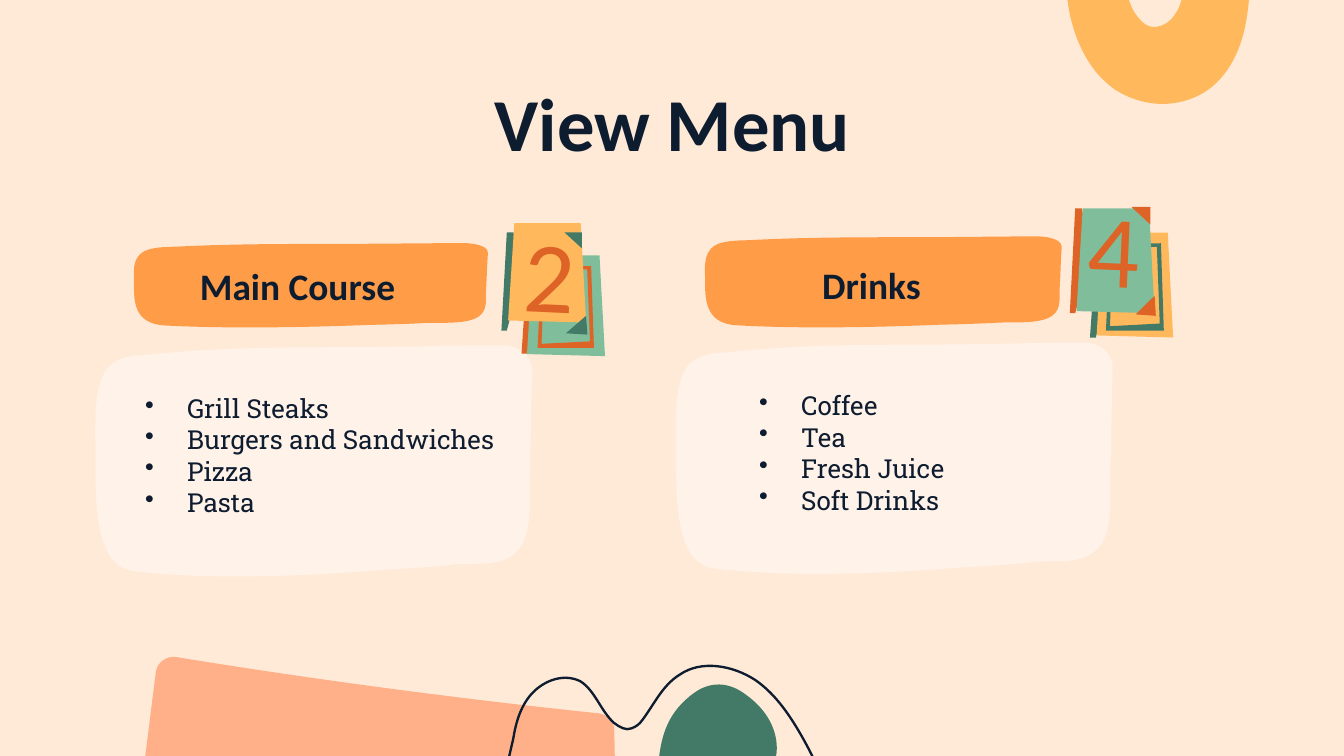
from lxml import etree
from pptx import Presentation
from pptx.dml.color import RGBColor
from pptx.enum.text import MSO_ANCHOR, PP_ALIGN
from pptx.oxml.ns import qn
from pptx.util import Pt

LEFT, CENTER, JUSTIFY = PP_ALIGN.LEFT, PP_ALIGN.CENTER, PP_ALIGN.JUSTIFY
TOP, MIDDLE = MSO_ANCHOR.TOP, MSO_ANCHOR.MIDDLE
HEADING_FONT, BODY_FONT = "Calibri", "Roboto Slab"
COLORS = {
    "background": "FFEAD8", "ink": "0E1C30", "yellow": "FFB95C", "peach": "FFB088",
    "green": "437A67", "mint": "80BE9B", "rust": "DD6326", "orange": "FF9C47",
    "cream": "FFF2E8",
}
INCH = 72

# Contours are a start point, then lines (2 numbers) or Bézier curves (6 numbers),
# in percent of the box they are drawn in.
BLOB = [
    (86.9, 0), (70.3, 0.6), (51.4, 1.2, 32.1, 0, 13.1, 4),
    (9.8, 4.6, 5.8, 4, 3.1, 10.4), (0, 19, 0.6, 35.3, 0.6, 46.2),
    (0.6, 66.5, 0.3, 94.8, 9.2, 97.1), (16.8, 98.8, 24.8, 99.4, 32.7, 99.4),
    (44, 99.4, 55.4, 98.3, 66.4, 96.5), (71.9, 96, 77.1, 95.4, 82.6, 94.2),
    (86.5, 93.6, 92.4, 95.4, 96, 89.6), (100, 83.2, 99.4, 69.4, 99.4, 58.4),
    (99.7, 42.8, 99.7, 27.2, 100, 11.6), (100, 0.6, 93.9, 0, 93.9, 0),
]
ARCH = [
    (137, 56), (137, 38, 135, 17, 132, 2), (132, 0, 129, 0, 127, 1),
    (114, 2, 101, 3, 87, 4), (85, 4, 84, 6, 84, 8), (86, 21, 88, 35, 88, 55),
    (88, 65, 87, 76, 81, 84), (78, 89, 73, 92, 68, 93), (61, 94, 57, 90, 53, 85),
    (46, 76, 45, 65, 44, 53), (44, 29), (44, 23, 44, 16, 43, 10),
    (43, 8, 41, 7, 40, 7), (7, 6), (5, 6, 4, 8, 4, 10), (2, 24, 0, 39, 0, 53),
    (0, 64, 1, 74, 3, 84), (8, 106, 18, 127, 37, 140), (56, 152, 79, 154, 99, 144),
    (119, 134, 130, 112, 134, 90), (136, 79, 137, 67, 137, 56),
]
SLAB = [
    (21, 11), (1, 170), (0, 177, 5, 183, 12, 185), (86, 196, 160, 206, 234, 215),
    (236, 218, 239, 219, 243, 219), (274, 221, 306, 227, 337, 234),
    (344, 236, 351, 230, 352, 223), (360, 168, 364, 111, 362, 54),
    (362, 48, 357, 43, 351, 42), (246, 31, 140, 17, 36, 0), (29, -1, 22, 4, 21, 11),
]
PEBBLE = [
    (0, 61), (0, 62, 1, 63, 3, 63), (21, 64, 74, 64, 83, 65), (84, 65, 86, 64, 86, 63),
    (87, 58, 88, 54, 88, 50), (88, 34, 79, 20, 65, 10), (52, 0, 38, 0, 26, 9),
    (7, 23, 2, 40, 0, 60),
]
WAVE = [
    (0, 127), (23, 129, 47, 116, 57, 95), (63, 84, 65, 71, 68, 59),
    (70, 46, 74, 33, 83, 24), (92, 15, 106, 10, 118, 16), (129, 23, 133, 38, 143, 47),
    (147, 50, 152, 53, 156, 51), (159, 50, 162, 48, 164, 45),
    (173, 33, 179, 19, 192, 11), (208, 0, 231, 4, 248, 15), (264, 26, 275, 43, 285, 61),
    (298, 85, 309, 111, 317, 138),
]
SHEET = [(93, 0), (8, 0), (0, 98), (100, 100)]
CARD_PARTS = [
    [[(90, 0), (50, 0), (0, 100), (40, 100), (100, 67)]],
    [SHEET],
    [[(88, 4), (93, 92), (7, 95), (12, 7)], [(95, 0), (7, 1), (0, 100), (100, 100)]],
    [[(27, 0), (0, 100), (27, 100), (100, 44), (60, 0)]],
    [SHEET],
    [[(94, 0), (0, 93), (100, 100)]],
    [[(0, 0), (100, 100), (100, 0)]],
]
# Boxes of the card parts, relative to the card's corner
MAIN_CARD = [
    (10.8, 17.3, 7.2, 52.6), (13.7, 17.3, 41.8, 54), (19.4, 23, 30.2, 43.9),
    (0, 5, 10.8, 52.6), (3.6, 0, 41.8, 53.3), (34.6, 49.7, 11.5, 10.1),
    (33.8, 5, 9.4, 8.6),
]
DRINKS_CARD = [
    (10.8, 13, 7.9, 56.2), (14.4, 13, 41, 56.2), (19.4, 18.7, 31, 46.8),
    (0, 0, 10.8, 56.2), (3.6, 0, 41.8, 56.2), (35.3, 46.8, 10.8, 10.8),
    (33.1, -0.7, 10.1, 9.4),
]


def rgb(name):
    return RGBColor.from_string(COLORS[name])


def add_outline(slide, box, contours, fill=None, line=None):
    left, top, width, height = box

    def place(x, y):
        return Pt(left + x * width / 100), Pt(top + y * height / 100)

    builder = None
    for contour in contours:
        start = place(*contour[0])
        if builder is None:
            builder = slide.shapes.build_freeform(*start)
        else:
            builder.move_to(*start)
        builder.add_line_segments([place(*segment[-2:]) for segment in contour[1:]],
                                  close=fill is not None)
    shape = builder.convert_to_shape()

    # Bend the straight segments that have control points
    segments = [segment for contour in contours for segment in contour[1:]]
    for element, segment in zip(list(shape._element.iter(qn("a:lnTo"))), segments):
        if len(segment) == 6:
            element.tag = qn("a:cubicBezTo")
            for index in (0, 1):
                x, y = place(*segment[2 * index:2 * index + 2])
                element.insert(index, etree.Element(
                    qn("a:pt"), x=str(x - shape.left), y=str(y - shape.top)))

    shape.shadow.inherit = False
    if fill:
        shape.fill.solid()
        shape.fill.fore_color.rgb = rgb(fill)
    else:
        shape.fill.background()
    if line:
        shape.line.color.rgb = rgb(line)
        shape.line.width = Pt(1.25)
    else:
        shape.line.fill.background()


def add_text(slide, box, lines, size, font=HEADING_FONT, color="ink", bold=False,
             align=LEFT, anchor=TOP, rotation=0):
    shape = slide.shapes.add_textbox(*map(Pt, box))
    shape.rotation = rotation
    frame = shape.text_frame
    frame.word_wrap = True
    frame.vertical_anchor = anchor
    frame.margin_left = frame.margin_right = Pt(7.2)
    frame.margin_top = frame.margin_bottom = Pt(7.2)
    frame.text = "\n".join(lines)
    for paragraph in frame.paragraphs:
        paragraph.alignment = align
        paragraph.font.name = font
        paragraph.font.size = Pt(size)
        paragraph.font.bold = bold
        paragraph.font.color.rgb = rgb(color)
    return frame


def add_bullets(slide, box, items, align):
    frame = add_text(slide, box, items, 14, font=BODY_FONT, align=align)
    for paragraph in frame.paragraphs:
        paragraph.line_spacing = Pt(16.8)
        properties = paragraph._p.get_or_add_pPr()
        properties.set("marL", str(Pt(22.5)))
        properties.set("indent", str(-Pt(22.5)))
        bullet = etree.Element(qn("a:buChar"), char="•")
        properties.find(qn("a:defRPr")).addprevious(bullet)


def add_card(slide, corner, boxes, colors):
    """Draw two stacked paper sheets; colors are back trim, back, front trim, front."""
    back_trim, back, front_trim, front = colors
    fills = [back_trim, back, back_trim, front_trim, front, front_trim, front_trim]
    for contours, (x, y, width, height), fill in zip(CARD_PARTS, boxes, fills):
        box = (corner[0] + x, corner[1] + y, width, height)
        add_outline(slide, box, contours, fill)


def add_decorations(slide):
    add_outline(slide, (571, -52.6, INCH, INCH), [ARCH], "yellow")
    add_outline(slide, (68.4, 352, INCH, INCH), [SLAB], "peach")
    add_outline(slide, (352.8, 365, INCH, INCH), [PEBBLE], "green")
    add_outline(slide, (226, 353.5, INCH, INCH), [WAVE], line="ink")


def add_menu(slide, header_box, panel_box, title_box, title, list_box, items, align):
    add_outline(slide, header_box, [BLOB], "orange")
    add_outline(slide, panel_box, [BLOB], "cream")
    add_text(slide, title_box, [title], 20, bold=True)
    add_bullets(slide, list_box, items, align)


def main():
    presentation = Presentation()
    presentation.slide_width, presentation.slide_height = Pt(720), Pt(405)
    slide = presentation.slides.add_slide(presentation.slide_layouts[6])
    slide.background.fill.solid()
    slide.background.fill.fore_color.rgb = rgb("background")

    add_decorations(slide)
    add_text(slide, (56.7, 42.5, 607, 45.4), ["View Menu"], 40, bold=True,
             align=CENTER, anchor=MIDDLE)
    add_menu(slide, (70.6, 130.3, 190.8, 45.4), (49.7, 185, 235.4, 124.6),
             (100, 134, 129.6, 30.2), "Main Course", (70.6, 203, 241.2, 78.5),
             ["Grill Steaks", "Burgers and Sandwiches", "Pizza", "Pasta"], LEFT)
    add_menu(slide, (376.6, 126.7, 192.2, 49), (360.7, 183.6, 235.4, 124.6),
             (433.4, 133.2, 77, 30.2), "Drinks", (399.6, 201.6, 202.3, 78.5),
             ["Coffee", "Tea", "Fresh Juice", "Soft Drinks"], JUSTIFY)

    add_card(slide, (268.6, 119.5), MAIN_CARD, ("rust", "mint", "green", "yellow"))
    add_text(slide, (273.6, 118.8, 41.8, 54), ["2"], 54, color="rust",
             anchor=MIDDLE, rotation=2.7)
    add_card(slide, (573.1, 111.6), DRINKS_CARD, ("green", "yellow", "rust", "mint"))
    add_text(slide, (572.4, 74.9, 49, 114.5), ["4"], 55, color="rust",
             align=CENTER, anchor=MIDDLE, rotation=2.5)
    presentation.save("out.pptx")


if __name__ == "__main__":
    main()
